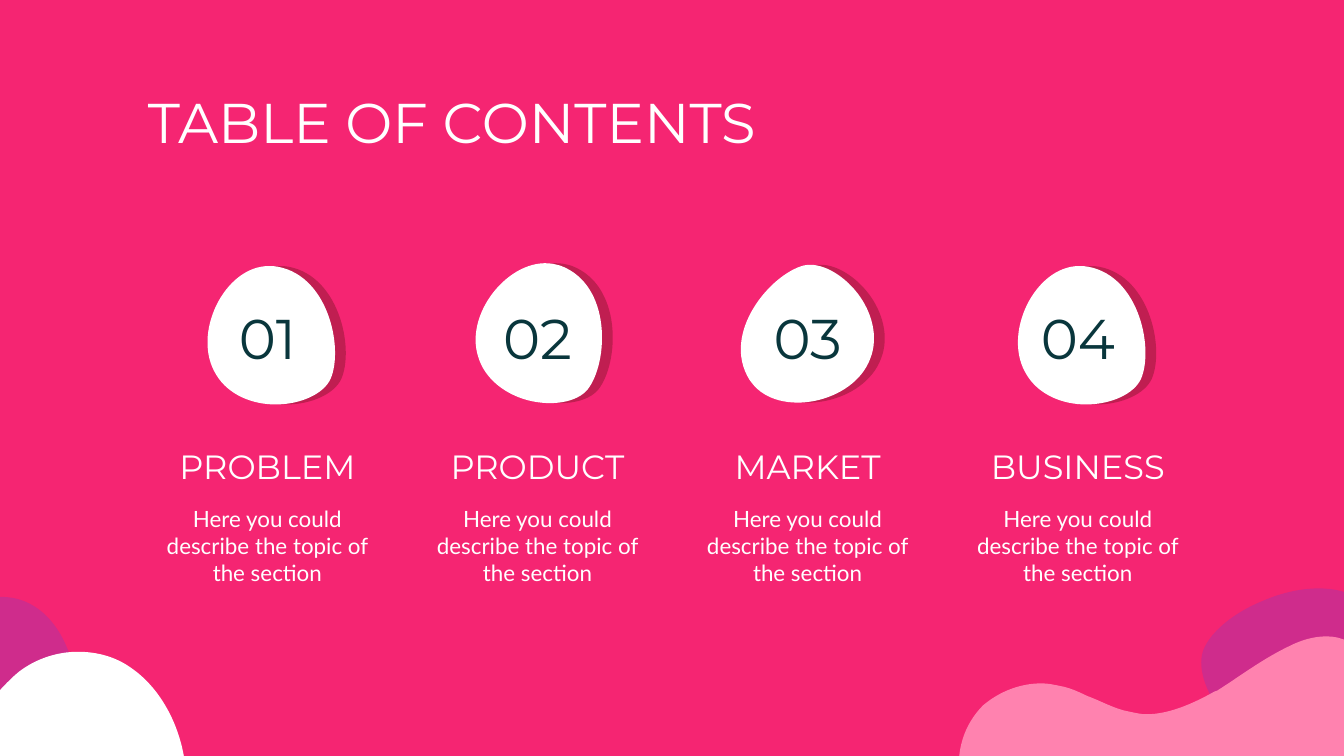
import pptx
import pptx.dml.color
import pptx.enum.text
import pptx.oxml.ns
import pptx.util
from pptx.util import Inches

RGBColor = pptx.dml.color.RGBColor
Align = pptx.enum.text.PP_ALIGN
Anchor = pptx.enum.text.MSO_ANCHOR
qn = pptx.oxml.ns.qn

PINK = RGBColor(0xF5, 0x25, 0x72)
LIGHT_PINK = RGBColor(0xFF, 0x82, 0xAF)
PURPLE = RGBColor(0xCF, 0x2C, 0x8C)
CRIMSON = RGBColor(0xC0, 0x1E, 0x51)
WHITE = RGBColor(0xFF, 0xFF, 0xFF)
DARK_TEAL = RGBColor(0x09, 0x36, 0x3C)

# Outlines: a contour is a start point, then segments of one point (line)
# or three points (cubic curve); lengths are inches from the region's corner.
EGG = [[
    (0.58, 0), [(0.25, 0), (0, 0.51), (0.19, 0.81)],
    [(0.28, 0.96), (0.46, 1.03), (0.63, 1.03)], [(0.82, 1.03), (0.99, 0.95), (1.04, 0.84)],
    [(1.14, 0.61), (1.02, 0.04), (0.61, 0)], [(0.6, 0), (0.59, 0), (0.58, 0)],
]]
RIGHT_BLOB = [[
    (2.78, 1.16), [(3.23, 0.97), (3.34, 0.29), (2.95, 0.07)],
    [(2.76, -0.03), (2.49, 0), (2.26, 0.1)], [(2.01, 0.2), (1.81, 0.38), (1.8, 0.53)],
    [(1.77, 0.82), (2.18, 1.37), (2.75, 1.17)], [(2.76, 1.17), (2.77, 1.16), (2.78, 1.16)],
]]
WAVE_CRESTS = [[
    (0.61, 0.72), [(0.45, 0.72), (0.3, 0.78), (0.18, 0.88)],
    [(0.07, 0.99), (0.01, 1.13), (0, 1.28)], [(0.69, 1.28)],
    [(0.74, 1.1), (0.82, 0.94), (0.94, 0.81)], [(0.88, 0.78), (0.81, 0.75), (0.75, 0.74)],
    [(0.7, 0.73), (0.66, 0.72), (0.61, 0.72)],
], [
    (2.73, 0.37), [(2.63, 0.37), (2.54, 0.4), (2.46, 0.44)],
    [(2.27, 0.53), (2.11, 0.65), (1.94, 0.76)], [(1.99, 0.82), (2.05, 0.89), (2.12, 0.93)],
    [(2.24, 1), (2.4, 0.98), (2.55, 0.99)], [(2.7, 0.99), (2.87, 1.05), (2.91, 1.19)],
    [(2.92, 1.22), (2.92, 1.25), (2.92, 1.28)], [(3.14, 1.28)],
    [(3.15, 1.07), (3.14, 0.85), (3.07, 0.65)], [(3.04, 0.56), (2.98, 0.46), (2.89, 0.41)],
    [(2.84, 0.38), (2.78, 0.37), (2.73, 0.37)],
]]
WAVE_TROUGH = [[
    (1.94, 0.76), [(1.93, 0.77), (1.91, 0.78), (1.9, 0.78)],
    [(1.74, 0.87), (1.56, 0.95), (1.39, 0.95)], [(1.35, 0.95), (1.31, 0.94), (1.26, 0.93)],
    [(1.15, 0.91), (1.05, 0.85), (0.94, 0.81)], [(0.82, 0.94), (0.74, 1.1), (0.69, 1.28)],
    [(2.92, 1.28)], [(2.92, 1.25), (2.92, 1.22), (2.91, 1.19)],
    [(2.87, 1.05), (2.7, 0.99), (2.55, 0.99)], [(2.4, 0.98), (2.24, 1), (2.12, 0.93)],
    [(2.05, 0.89), (1.99, 0.82), (1.94, 0.76)],
]]
LEFT_BLOB = [[
    (1.49, 1.25), [(1.79, 1.12), (1.77, 0.43), (1.45, 0.15)],
    [(1.29, 0.01), (1.1, 0.01), (0.95, 0.07)], [(0.79, 0.14), (0.67, 0.29), (0.68, 0.44)],
    [(0.7, 0.74), (1.09, 1.37), (1.47, 1.25)], [(1.48, 1.25), (1.49, 1.25), (1.49, 1.25)],
]]
LEFT_HILL = [[
    (1.71, 0.44), [(1.86, 0.44), (2, 0.48), (2.12, 0.57)],
    [(2.33, 0.72), (2.48, 1), (2.51, 1.3)], [(0.01, 1.3)],
    [(0.02, 1.25), (0.04, 1.21), (0.07, 1.18)], [(0.16, 1.08), (0.3, 1.05), (0.42, 1.05)],
    [(0.54, 1.05), (0.67, 1.06), (0.79, 1.01)], [(0.98, 0.94), (1.1, 0.73), (1.27, 0.59)],
    [(1.4, 0.49), (1.56, 0.44), (1.71, 0.44)],
]]

# Number, heading, egg height offset, egg rotation
SECTIONS = [
    ("01", "PROBLEM", 0.03, 0),
    ("02", "PRODUCT", 0, 14.7),
    ("03", "MARKET", 0.08, 232.6),
    ("04", "BUSINESS", 0.03, 0),
]
DESCRIPTION = "Here you could describe the topic of the section"


def add_outline(shapes, left, top, contours, color, rotation=0, outlined=False):
    def place(point):
        return Inches(left + point[0]), Inches(top + point[1])

    builder = None
    for start, *segments in contours:
        if builder is None:
            builder = shapes.build_freeform(*place(start))
        else:
            builder.move_to(*place(start))
        builder.add_line_segments([place(p) for seg in segments for p in seg], close=True)
    outline = builder.convert_to_shape()

    # Join each run of three control points into one cubic curve
    steps = iter(list(outline.element.iter(qn("a:lnTo"))))
    for _, *segments in contours:
        for segment in segments:
            curve, *controls = [next(steps) for _ in segment]
            if controls:
                curve.tag = qn("a:cubicBezTo")
            for control in controls:
                curve.append(control[0])
                control.getparent().remove(control)

    outline.shadow.inherit = False
    outline.rotation = rotation
    outline.fill.solid()
    outline.fill.fore_color.rgb = color
    if outlined:
        outline.line.color.rgb = color
        outline.line.width = pptx.util.Pt(0.75)
    else:
        outline.line.fill.background()


def fill_text(frame, text, size, font, color, align=Align.CENTER, anchor=Anchor.TOP, after=0):
    frame.word_wrap = True
    frame.auto_size = pptx.enum.text.MSO_AUTO_SIZE.NONE
    frame.vertical_anchor = anchor
    frame.margin_left = frame.margin_right = Inches(0.1)
    frame.margin_top = frame.margin_bottom = Inches(0.1)
    paragraph = frame.paragraphs[0]
    paragraph.alignment = align
    paragraph.space_before = pptx.util.Pt(0)
    paragraph.space_after = pptx.util.Pt(after)
    run = paragraph.add_run()
    run.text = text
    run.font.size = pptx.util.Pt(size)
    run.font.name = font
    run.font.color.rgb = color


def add_label(slide, left, top, width, height, *text_args, **text_options):
    label = slide.shapes.add_textbox(Inches(left), Inches(top), Inches(width), Inches(height))
    fill_text(label.text_frame, *text_args, **text_options)


def add_right_corner(slide, left, top):
    shapes = slide.shapes.add_group_shape().shapes
    add_outline(shapes, left, top, RIGHT_BLOB, PURPLE)
    for wave in (WAVE_CRESTS, WAVE_TROUGH):
        add_outline(shapes, left, top, wave, LIGHT_PINK, outlined=True)


def add_left_corner(slide, left, top):
    shapes = slide.shapes.add_group_shape().shapes
    add_outline(shapes, left, top, LEFT_BLOB, PURPLE)
    add_outline(shapes, left, top, LEFT_HILL, WHITE)


def add_title(slide, left, top, width, height):
    title = slide.shapes.title
    title.left, title.top = Inches(left), Inches(top)
    title.width, title.height = Inches(width), Inches(height)
    fill_text(title.text_frame, "TABLE OF CONTENTS", 30, "Montserrat", WHITE, align=Align.LEFT)


def add_section(slide, left, top, width, number, heading, egg_offset, egg_rotation):
    # Egg over its shadow
    egg_shapes = slide.shapes.add_group_shape().shapes
    for shift, color in ((0.08, CRIMSON), (0, WHITE)):
        add_outline(egg_shapes, left + 0.33 + shift, top + egg_offset, EGG, color, egg_rotation)
    # Number, heading and description
    add_label(slide, left + 0.15, top + 0.26, width - 0.3, 0.6,
              number, 30, "Montserrat", DARK_TEAL, anchor=Anchor.MIDDLE)
    add_label(slide, left, top + 1.27, width, 0.5, heading, 18, "Montserrat", WHITE, after=16)
    add_label(slide, left, top + 1.71, width, 1, DESCRIPTION, 12, "Lato", WHITE, after=16)


def main():
    deck = pptx.Presentation()
    # Widescreen, 16:9
    deck.slide_width = Inches(10)
    deck.slide_height = deck.slide_width * 9 // 16
    slide = deck.slides.add_slide(deck.slide_layouts[5])
    slide.background.fill.solid()
    slide.background.fill.fore_color.rgb = PINK

    add_right_corner(slide, 7.14, 4.37)
    add_left_corner(slide, -1.13, 4.41)
    add_title(slide, 1, 0.55, 8, 0.6)
    for column, section in enumerate(SECTIONS):
        add_section(slide, 1.09 + 2.01 * column, 1.95, 1.8, *section)
    deck.save("out.pptx")


if __name__ == "__main__":
    main()
